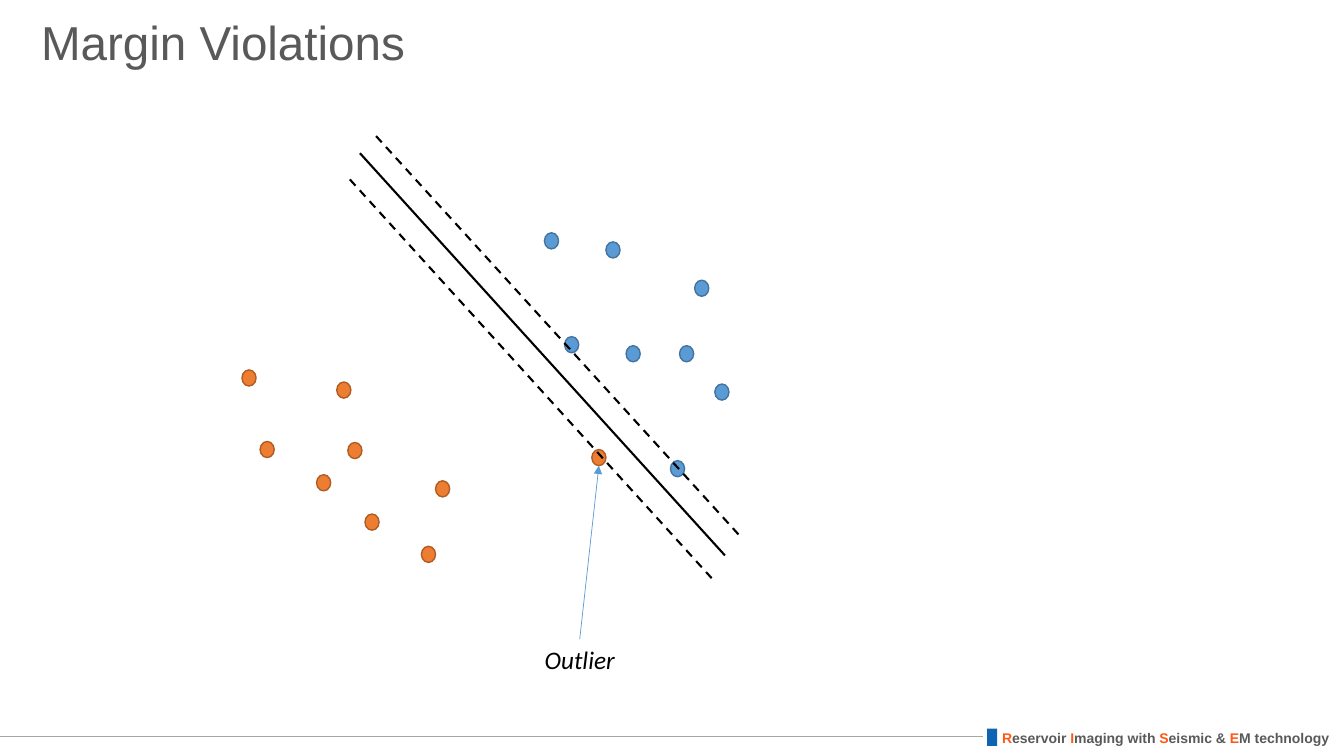
from lxml import etree
from pptx import Presentation
from pptx.dml.color import RGBColor
from pptx.enum.dml import MSO_LINE
from pptx.enum.shapes import MSO_CONNECTOR, MSO_SHAPE
from pptx.enum.text import MSO_ANCHOR, PP_ALIGN
from pptx.oxml.ns import qn
from pptx.util import Inches, Pt

STRAIGHT = MSO_CONNECTOR.STRAIGHT
DASH = MSO_LINE.DASH
RECT, OVAL = MSO_SHAPE.RECTANGLE, MSO_SHAPE.OVAL
TOP, MIDDLE = MSO_ANCHOR.TOP, MSO_ANCHOR.MIDDLE
LEFT, CENTER = PP_ALIGN.LEFT, PP_ALIGN.CENTER

GREY, ACCENT, BLACK = "595959", "FF5815", "000000"
BLUE, BLUE_EDGE = "5B9BD5", "43739E"
ORANGE, ORANGE_EDGE = "ED7D31", "AF5C24"
DOT_W, DOT_H = 0.14, 0.16

# Positions are relative to the top left corner of the plot.
BLUE_DOTS = [(3.0, 0.96), (3.61, 1.05), (4.49, 1.43), (3.2, 1.99),
             (3.81, 2.08), (4.34, 2.08), (4.69, 2.46), (4.25, 3.22)]
ORANGE_DOTS = [(0, 2.32), (0.94, 2.44), (0.18, 3.03), (1.05, 3.04),
               (0.74, 3.36), (1.92, 3.42), (1.22, 3.75), (1.78, 4.07)]
OUTLIER = (3.47, 3.11)
BOUNDARY = ((1.17, 0.17), (4.79, 4.16))
MARGINS = [((1.33, 0), (4.95, 3.98)), ((1.07, 0.43), (4.68, 4.41))]


def color(hex_code):
    return RGBColor.from_string(hex_code)


def add_text(s, box, runs, size, font="Arial", bold=False, italic=False,
             align=LEFT, anchor=TOP, wrap=True, spacing=1.0):
    """Place one paragraph made of (text, colour) runs."""
    sp = s.shapes.add_textbox(*map(Inches, box))
    tf = sp.text_frame
    tf.word_wrap = wrap
    tf.vertical_anchor = anchor
    p = tf.paragraphs[0]
    p.alignment = align
    p.line_spacing = spacing
    for text, hex_code in runs:
        r = p.add_run()
        r.text = text
        r.font.name = font
        r.font.size = Pt(size)
        r.font.bold = bold
        r.font.italic = italic
        r.font.color.rgb = color(hex_code)
    return sp


def add_shape(s, kind, box, fill, edge=None):
    sp = s.shapes.add_shape(kind, *map(Inches, box))
    sp.shadow.inherit = False
    sp.fill.solid()
    sp.fill.fore_color.rgb = color(fill)
    if edge:
        sp.line.color.rgb = color(edge)
        sp.line.width = Pt(1)
    else:
        sp.line.fill.background()
    return sp


def add_line(s, start, end, hex_code, width, dash=None, arrow=False):
    line = s.shapes.add_connector(STRAIGHT, *map(Inches, (*start, *end)))
    line.line.color.rgb = color(hex_code)
    line.line.width = Pt(width)
    if dash:
        line.line.dash_style = dash
    if arrow:
        ln = line.line._get_or_add_ln()
        etree.SubElement(ln, qn("a:tailEnd"), type="triangle")
    etree.SubElement(line._element.spPr, qn("a:effectLst"))
    return line


def add_footer(s, left, top, width, height):
    rule_y = top + 0.12
    add_text(s, (left, top, width, height),
             [("R", ACCENT), ("eservoir ", GREY), ("I", ACCENT),
              ("maging with ", GREY), ("S", ACCENT), ("eismic & ", GREY),
              ("E", ACCENT), ("M technology", GREY)],
             10, bold=True, wrap=False)
    add_line(s, (left - 0.09, rule_y), (0, rule_y), "A6A6A6", 0.5)
    add_shape(s, RECT, (left - 0.05, top + 0.04, 0.1, 0.17), "0E64B2")


def add_plot(s, left, top):
    """Draw both classes, the boundary with its margins, and the outlier."""
    def at(point):
        return left + point[0], top + point[1]

    add_line(s, *map(at, BOUNDARY), BLACK, 1.5)
    for dots, fill, edge in ((BLUE_DOTS, BLUE, BLUE_EDGE),
                             (ORANGE_DOTS + [OUTLIER], ORANGE, ORANGE_EDGE)):
        for dot in dots:
            add_shape(s, OVAL, (*at(dot), DOT_W, DOT_H), fill, edge)
    for margin in MARGINS:
        add_line(s, *map(at, margin), BLACK, 1.5, dash=DASH)

    label = add_text(s, (*at((2.15, 4.99)), 2.4, 0.4), [("Outlier", BLACK)],
                     18, font="Calibri", italic=True, align=CENTER)
    outlier_x, outlier_y = at(OUTLIER)
    arrow = add_line(s, at((3.35, 4.99)),
                     (outlier_x + DOT_W / 2, outlier_y + DOT_H),
                     BLUE, 0.5, arrow=True)
    arrow.begin_connect(label, 0)


def main():
    prs = Presentation()
    prs.slide_width, prs.slide_height = Inches(13.33), Inches(7.5)
    s = prs.slides.add_slide(prs.slide_layouts[6])
    add_footer(s, 9.84, 7.19, 3.48, 0.27)
    add_text(s, (0.31, 0, 11.5, 0.89), [("Margin Violations", GREY)], 34,
             anchor=MIDDLE, spacing=0.9)
    add_plot(s, 2.4, 1.35)
    prs.save("out.pptx")


if __name__ == "__main__":
    main()
